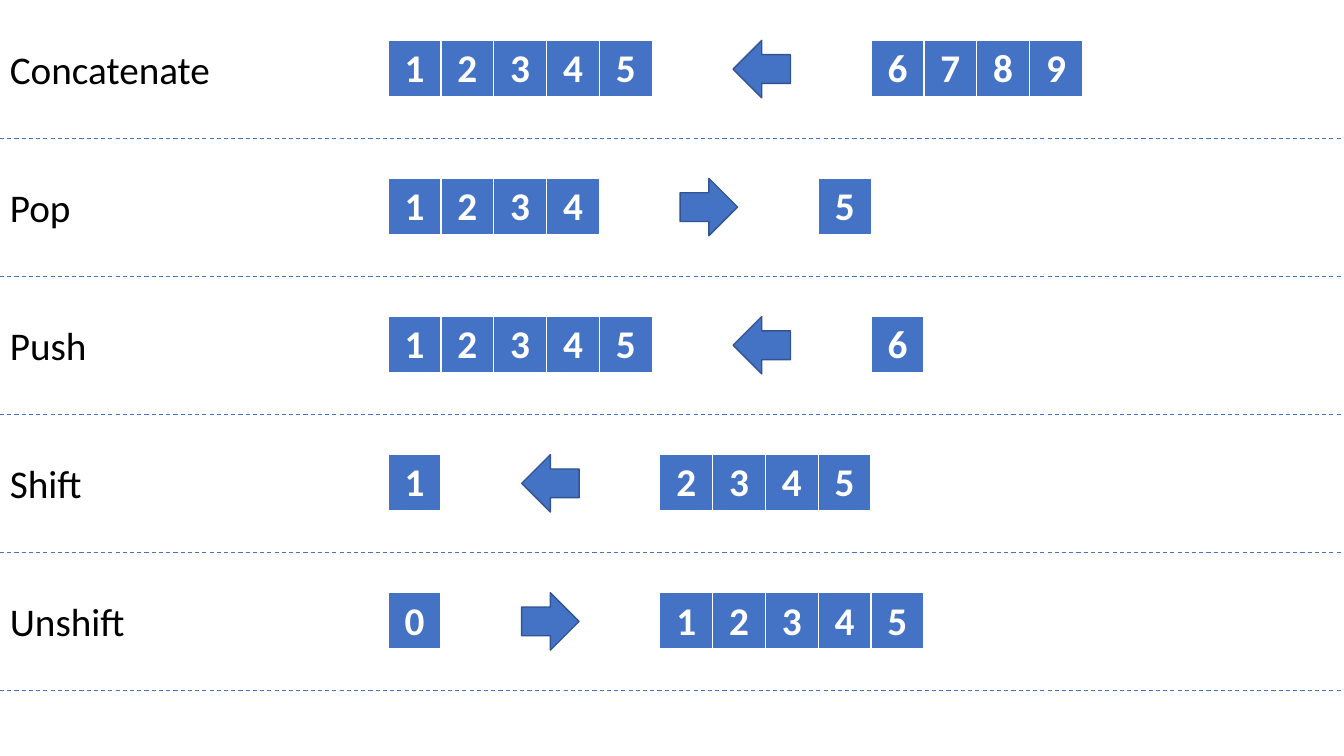
from lxml import etree
from pptx import Presentation
from pptx import util as u
from pptx.dml.color import RGBColor
from pptx.enum import dml, shapes, text
from pptx.oxml import ns

BLUE = RGBColor(0x44, 0x72, 0xC4)
NAVY = RGBColor(0x32, 0x54, 0x91)
WHITE = RGBColor(0xFF, 0xFF, 0xFF)
BLACK = RGBColor(0, 0, 0)

WIDE = u.Inches(13.33)
PITCH = u.Inches(1.37)
TOP = u.Inches(0.4)
LEFT = u.Inches(3.85)
SIDE = u.Inches(0.57)
CELL = u.Inches(2.62) // 5
GAP = u.Inches(0.8)

ROWS = [
    ("Concatenate", "12345", "left", "6789"),
    ("Pop", "1234", "right", "5"),
    ("Push", "12345", "left", "6"),
    ("Shift", "1", "left", "2345"),
    ("Unshift", "0", "right", "12345"),
]


def write(frame, words, color, bold=False):
    para = frame.paragraphs[0]
    run = para.add_run()
    run.text = words
    run.font.name = "Calibri"
    run.font.size = u.Pt(28)
    run.font.bold = bold
    run.font.color.rgb = color
    return para


def border(cell):
    props = cell._tc.get_or_add_tcPr()
    for spot, (tag, size) in enumerate([("lnL", 1), ("lnR", 1), ("lnT", 1), ("lnB", 3)]):
        line = etree.Element(ns.qn("a:" + tag), w=str(u.Pt(size)))
        fill = etree.SubElement(line, ns.qn("a:solidFill"))
        etree.SubElement(fill, ns.qn("a:srgbClr"), val=str(WHITE))
        props.insert(spot, line)


def array(slide, left, top, digits):
    wide = CELL * len(digits)
    table = slide.shapes.add_table(1, len(digits), left, top, wide, SIDE).table
    for col, digit in enumerate(digits):
        table.columns[col].width = CELL
        cell = table.cell(0, col)
        cell.fill.solid()
        cell.fill.fore_color.rgb = BLUE
        border(cell)
        para = write(cell.text_frame, digit, WHITE, True)
        para.alignment = text.PP_ALIGN.CENTER
    return left + wide


def arrow(slide, left, top, way):
    shape = slide.shapes.add_shape(shapes.MSO_SHAPE.RIGHT_ARROW, left, top, SIDE, SIDE)
    shape.rotation = 180 if way == "left" else 0
    shape.shadow.inherit = False
    shape.fill.solid()
    shape.fill.fore_color.rgb = BLUE
    shape.line.color.rgb = NAVY
    shape.line.width = u.Pt(1)
    return left + SIDE


def label(slide, left, top, words):
    box = slide.shapes.add_textbox(left, top, u.Inches(3.07), SIDE)
    box.text_frame.word_wrap = True
    box.text_frame.auto_size = text.MSO_AUTO_SIZE.SHAPE_TO_FIT_TEXT
    write(box.text_frame, words, BLACK)


def rule(slide, left, top, wide):
    line = slide.shapes.add_connector(
        shapes.MSO_CONNECTOR.STRAIGHT, left, top, left + wide, top)
    line.line.color.rgb = BLUE
    line.line.width = u.Pt(0.75)
    line.line.dash_style = dml.MSO_LINE.DASH
    etree.SubElement(line._element.spPr, ns.qn("a:effectLst"))


def band(slide, left, top, wide, name, first, way, last):
    line = top + TOP
    label(slide, left, line, name)
    end = array(slide, left + LEFT, line, first)
    end = arrow(slide, end + GAP, line, way)
    array(slide, end + GAP, line, last)
    rule(slide, left, top + PITCH, wide)


deck = Presentation()
deck.slide_width = WIDE
deck.slide_height = u.Inches(7.5)
slide = deck.slides.add_slide(deck.slide_layouts[6])
for index, row in enumerate(ROWS):
    band(slide, 0, PITCH * index, WIDE, *row)
deck.save("out.pptx")
